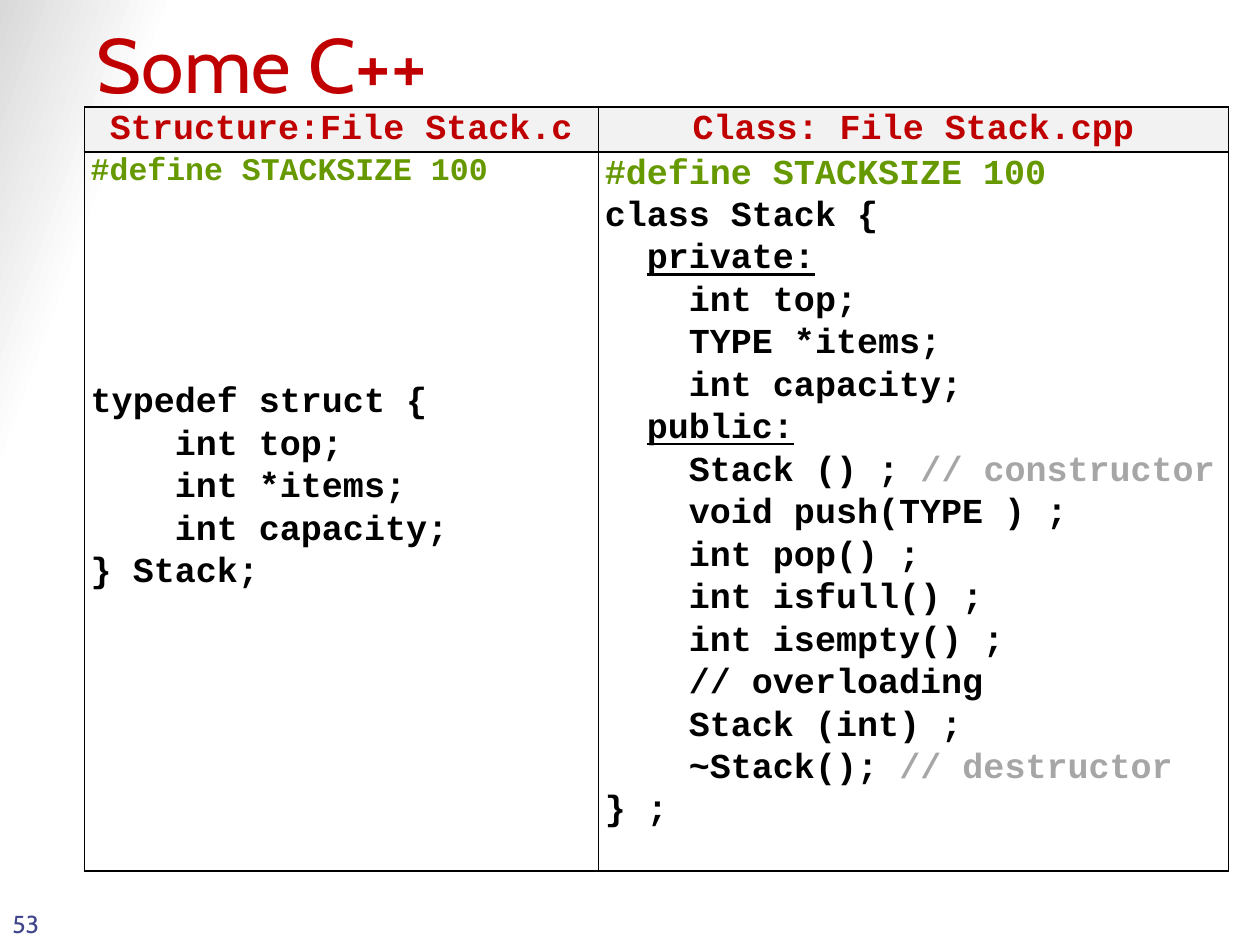
import pptx
import pptx.dml.color
import pptx.enum.text
import pptx.oxml
import pptx.oxml.ns
import pptx.util
from pptx.util import Inches

HUES = {"red": "C00000", "green": "669900", "black": "000000", "gray": "A6A6A6",
        "blue": "40458C", "head": "F2F2F2", "white": "FFFFFF", "shade": "D9D9D9"}
ALIGN = pptx.enum.text.PP_ALIGN
DEFINE = "#define STACKSIZE 100"
STRUCT = """typedef struct {
    int top;
    int *items;
    int capacity;
} Stack;""".split("\n")
CLASS = """class Stack {
  private:
    int top;
    TYPE *items;
    int capacity;
  public:
    Stack () ; // constructor
    void push(TYPE ) ;
    int pop() ;
    int isfull() ;
    int isempty() ;
    // overloading
    Stack (int) ;
    ~Stack(); // destructor
} ;""".split("\n")


class Deck:
    """Hold the style and the current slide."""

    def __init__(self):
        self.prs = pptx.Presentation()
        self.prs.slide_width, self.prs.slide_height = Inches(10), Inches(7.5)
        self.slide = self.prs.slides.add_slide(self.prs.slide_layouts[6])

    def hue(self, name):
        return pptx.dml.color.RGBColor.from_string(HUES[name])

    def back(self, stops, angle):
        fill = self.slide.background.fill
        fill.gradient()
        fill.gradient_angle = angle
        for stop, (place, name) in zip(fill.gradient_stops, stops):
            stop.position = place
            stop.color.rgb = self.hue(name)

    def run(self, para, text, size, color, face="Courier New", bold=True, under=None):
        run = para.add_run()
        run.text = text
        font = run.font
        font.name, font.size, font.bold = face, pptx.util.Pt(size), bold
        font.underline = under
        font.color.rgb = self.hue(color)

    def label(self, box, text, size, color):
        frame = self.slide.shapes.add_textbox(*map(Inches, box)).text_frame
        frame.word_wrap = True
        frame.vertical_anchor = pptx.enum.text.MSO_ANCHOR.BOTTOM
        self.run(frame.paragraphs[0], text, size, color, "Cabin", False)

    def grid(self, left, top, cols, rows):
        shape = self.slide.shapes.add_table(
            len(rows), len(cols), Inches(left), Inches(top),
            Inches(sum(cols)), Inches(sum(rows)))
        table = shape.table
        table.first_row = table.horz_banding = False
        for col, width in zip(table.columns, cols):
            col.width = Inches(width)
        for row, height in zip(table.rows, rows):
            row.height = Inches(height)
        for cell in table.iter_cells():
            cell.margin_left = cell.margin_right = Inches(0.05)
            cell.margin_top = cell.margin_bottom = 0
            self.edge(cell)
            cell.fill.background()
        return table

    def edge(self, cell):
        props = cell._tc.get_or_add_tcPr()
        for side in ("lnL", "lnR", "lnT", "lnB"):
            props.append(pptx.oxml.parse_xml(
                f'<a:{side} {pptx.oxml.ns.nsdecls("a")} w="12700"><a:solidFill>'
                f'<a:srgbClr val="{HUES["black"]}"/></a:solidFill></a:{side}>'))

    def line(self, cell, align=ALIGN.LEFT):
        frame = cell.text_frame
        para = frame.paragraphs[0]
        if para.runs:
            para = frame.add_paragraph()
        para.alignment, para.line_spacing = align, 1.07
        return para

    def head(self, cell, text):
        cell.fill.solid()
        cell.fill.fore_color.rgb = self.hue("head")
        self.run(self.line(cell, ALIGN.CENTER), text, 20, "red")

    def code(self, cell, size, lines, gap=0):
        self.run(self.line(cell), DEFINE, size, "green")
        for spot, text in enumerate(lines):
            para = self.line(cell)
            if gap and spot == 0:
                para.space_before = pptx.util.Pt(gap)
            start, mark, note = text.partition("; //")
            if mark:
                self.run(para, start + "; ", 20, "black")
                self.run(para, "//" + note, 20, "gray")
            elif text.endswith(":"):
                word = text.lstrip()
                self.run(para, text[:-len(word)], 20, "black")
                self.run(para, word, 20, "black", under=True)
            else:
                self.run(para, text, 20, "black")


def main():
    deck = Deck()
    deck.back([(0.89, "white"), (1, "shade")], 160)
    deck.label((0.67, 0.33, 8.5, 0.58), "Some C++", 44, "red")
    deck.label((0, 7, 0.58, 0.5), "53", 14, "blue")
    table = deck.grid(0.67, 0.85, (4.08, 5), (0.34, 5.38))
    deck.head(table.cell(0, 0), "Structure:File Stack.c")
    deck.head(table.cell(0, 1), "Class: File Stack.cpp")
    deck.code(table.cell(1, 0), 18, STRUCT, gap=109)
    deck.code(table.cell(1, 1), 20, CLASS)
    deck.prs.save("out.pptx")


if __name__ == "__main__":
    main()
